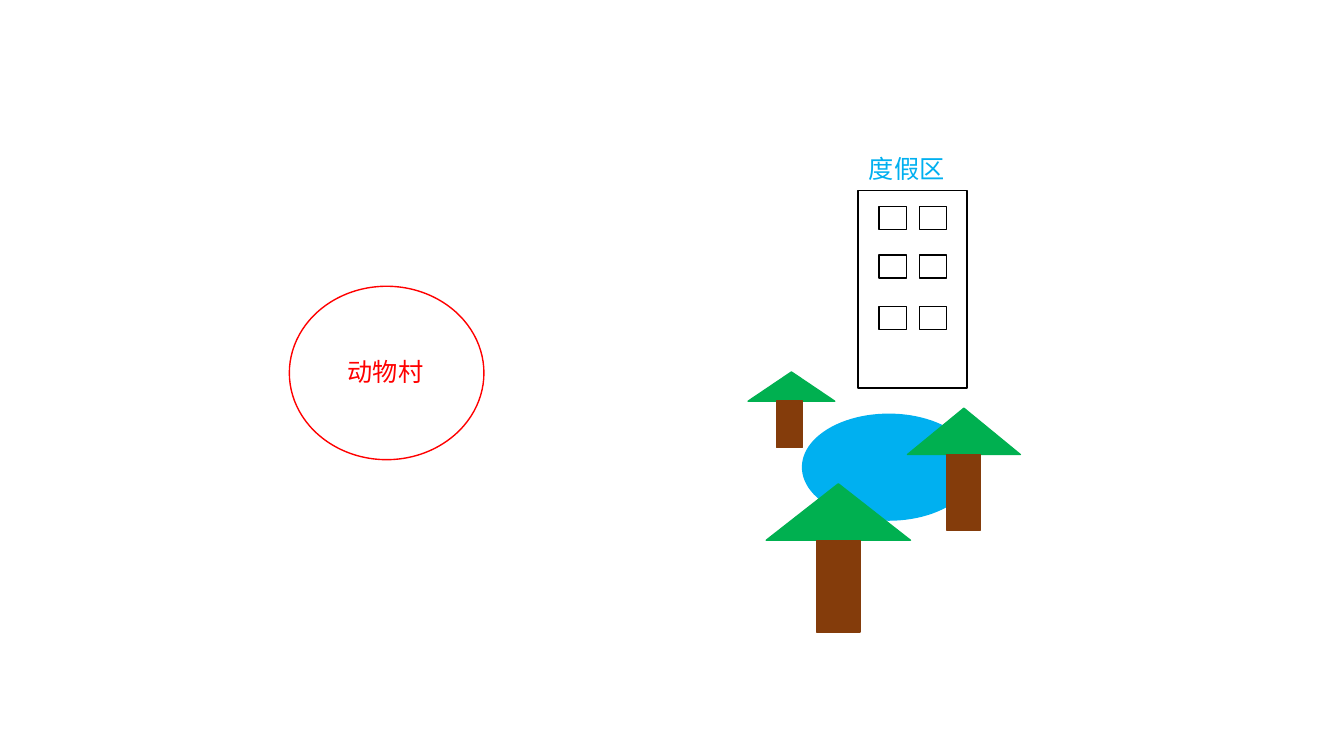
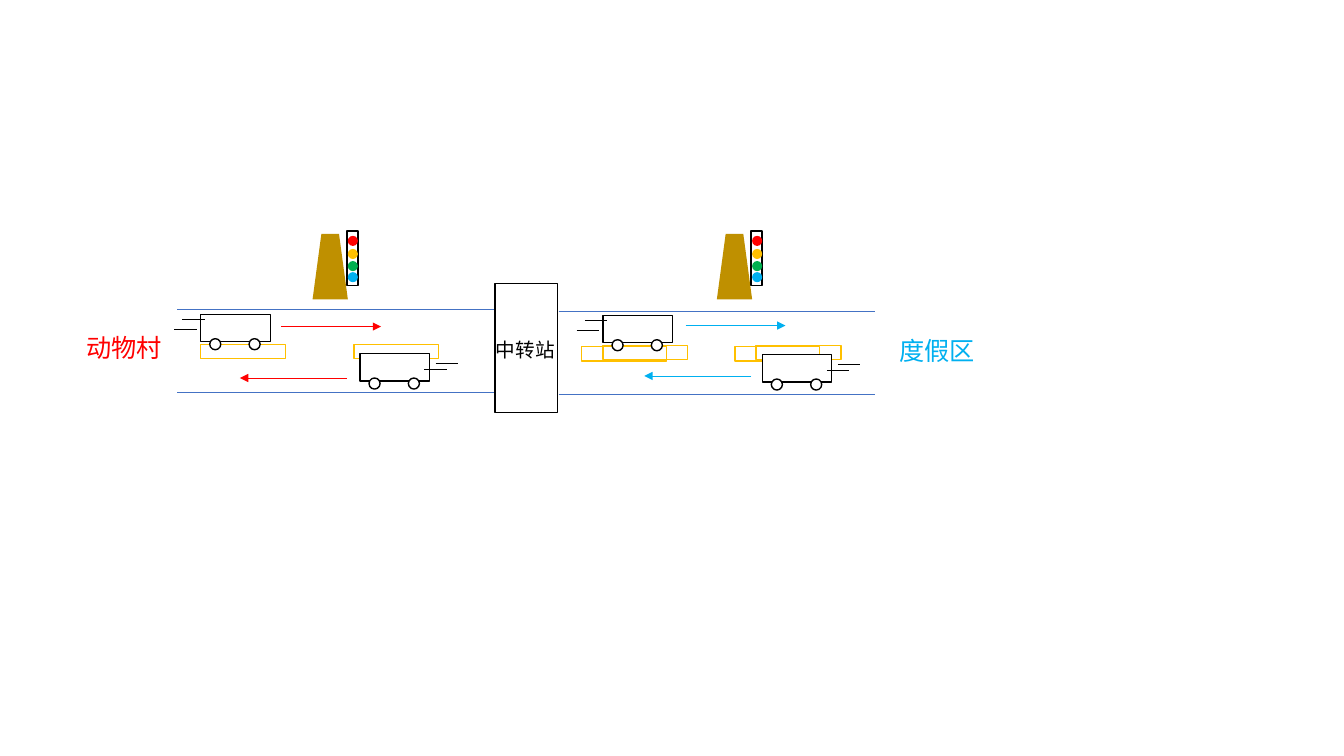
from lxml import etree
from pptx import Presentation
from pptx.dml.color import RGBColor
from pptx.enum import shapes, text
from pptx.oxml.ns import qn
from pptx.util import Inches, Pt

FONT = "Noto Sans CJK SC"
COLORS = {
    "black": "000000",
    "white": "FFFFFF",
    "red": "FF0000",
    "amber": "FFC000",
    "green": "00B050",
    "sky": "00B0F0",
    "trunk": "843C0B",
    "post": "BF9000",
    "road": "4472C4",
}
RECTANGLE = shapes.MSO_SHAPE.RECTANGLE
ELLIPSE = shapes.MSO_SHAPE.OVAL
TRIANGLE = shapes.MSO_SHAPE.ISOSCELES_TRIANGLE
TRAPEZOID = shapes.MSO_SHAPE.TRAPEZOID

VILLAGE = "动物村"
RESORT = "度假区"
STATION = "中转站"


def color(name):
    return RGBColor.from_string(COLORS[name])


def add_figure(slide, kind, left, top, width, height, fill=None, line=None):
    shape = slide.shapes.add_shape(
        kind, Inches(left), Inches(top), Inches(width), Inches(height)
    )
    shape.shadow.inherit = False
    if fill:
        shape.fill.solid()
        shape.fill.fore_color.rgb = color(fill)
    else:
        shape.fill.background()
    if line:
        shape.line.color.rgb = color(line)
        shape.line.width = Pt(1)
    else:
        shape.line.fill.background()


def add_line(slide, start, end, line, arrow=False):
    connector = slide.shapes.add_connector(
        shapes.MSO_CONNECTOR.STRAIGHT,
        *(Inches(value) for value in (*start, *end)),
    )
    connector.line.color.rgb = color(line)
    connector.line.width = Pt(0.5)
    if arrow:
        outline = connector.line._get_or_add_ln()
        etree.SubElement(outline, qn("a:tailEnd"), type="triangle")
    etree.SubElement(connector._element.spPr, qn("a:effectLst"))


def add_label(slide, wording, left, top, width, height, size, font_color):
    box = slide.shapes.add_textbox(
        Inches(left), Inches(top), Inches(width), Inches(height)
    )
    frame = box.text_frame
    frame.text = wording
    frame.word_wrap = False
    frame.auto_size = text.MSO_AUTO_SIZE.SHAPE_TO_FIT_TEXT
    font = frame.paragraphs[0].runs[0].font
    font.name = FONT
    font.size = Pt(size)
    font.color.rgb = color(font_color)
    etree.SubElement(font._element, qn("a:ea"), typeface=FONT)


def add_place_name(slide, wording, left, top, font_color):
    add_label(slide, wording, left, top, 0.96, 0.4, 18, font_color)


def add_building(slide, left, top):
    add_figure(slide, RECTANGLE, left, top, 1.08, 1.96, line="black")
    for window_top in (0.16, 0.64, 1.15):
        for window_left in (0.21, 0.61):
            add_figure(slide, RECTANGLE, left + window_left, top + window_top,
                       0.27, 0.23, line="black")


def add_tree(slide, left, top, width, crown_height, trunk_left, trunk_height):
    add_figure(slide, TRIANGLE, left, top, width, crown_height, "green", "green")
    add_figure(slide, RECTANGLE, trunk_left, top + crown_height,
               0.3 * width, trunk_height, "trunk", "trunk")


def add_road(slide, left, top):
    for edge in (top, top + 0.82):
        add_line(slide, (left, edge), (left + 3.14, edge), "road")
    add_platforms(slide, left + 0.23, top + 0.35)


def add_platforms(slide, left, top):
    for platform_left in (left, left + 1.52):
        add_figure(slide, RECTANGLE, platform_left, top, 0.84, 0.14, line="amber")


def add_signal(slide, left, top):
    add_figure(slide, TRAPEZOID, left, top + 0.03, 0.35, 0.65, "post")
    add_figure(slide, RECTANGLE, left + 0.34, top, 0.11, 0.54, line="black")
    lamps = {"red": 0.05, "amber": 0.18, "green": 0.3, "sky": 0.41}
    for lamp, offset in lamps.items():
        add_figure(slide, ELLIPSE, left + 0.35, top + offset, 0.1, 0.1, lamp)


def add_cart(slide, left, top, streaks):
    add_figure(slide, RECTANGLE, left, top, 0.69, 0.27, "white", "black")
    for wheel_left in (0.09, 0.48):
        add_figure(slide, ELLIPSE, left + wheel_left, top + 0.24,
                   0.11, 0.11, "white", "black")
    for streak_left, streak_top in streaks:
        x, y = left + streak_left, top + streak_top
        add_line(slide, (x, y), (x + 0.22, y), "black")


def add_carts(slide, left, top):
    add_cart(slide, left, top, [(-0.18, 0.05), (-0.26, 0.15)])
    add_cart(slide, left + 1.58, top + 0.39, [(0.64, 0.15), (0.75, 0.09)])


def add_directions(slide, left, top, return_drop, line):
    add_line(slide, (left, top), (left + 0.99, top), line, arrow=True)
    bottom = top + return_drop
    add_line(slide, (left + 0.65, bottom), (left - 0.41, bottom), line, arrow=True)


def build_places(slide):
    add_figure(slide, ELLIPSE, 7.96, 4.11, 1.71, 1.05, "sky", "sky")
    add_building(slide, 8.51, 1.89)
    add_tree(slide, 7.6, 4.8, 1.43, 0.56, 8.1, 0.91)
    add_tree(slide, 9, 4.05, 1.12, 0.46, 9.39, 0.75)
    add_tree(slide, 7.42, 3.69, 0.86, 0.29, 7.7, 0.46)
    add_figure(slide, ELLIPSE, 2.87, 2.84, 1.93, 1.72, line="red")
    add_place_name(slide, VILLAGE, 3.35, 3.49, "red")
    add_place_name(slide, RESORT, 8.52, 1.47, "sky")


def build_route(slide):
    add_road(slide, 1.76, 3.07)
    add_road(slide, 5.54, 3.09)
    add_platforms(slide, 5.98, 3.43)
    add_place_name(slide, VILLAGE, 0.76, 3.25, "red")
    add_place_name(slide, RESORT, 8.82, 3.28, "sky")
    add_figure(slide, RECTANGLE, 4.91, 2.81, 0.62, 1.28, line="black")
    add_label(slide, STATION, 4.82, 3.3, 0.79, 0.34, 14, "black")
    for left in (3.1, 7.11):
        add_signal(slide, left, 2.29)
    add_carts(slide, 1.99, 3.12)
    add_carts(slide, 5.98, 3.13)
    add_directions(slide, 2.79, 3.24, 0.51, "red")
    add_directions(slide, 6.8, 3.23, 0.5, "sky")


def main():
    presentation = Presentation()
    presentation.slide_width = Inches(13.33)
    presentation.slide_height = Inches(7.5)
    for build in (build_places, build_route):
        build(presentation.slides.add_slide(presentation.slide_layouts[6]))
    presentation.save("out.pptx")


if __name__ == "__main__":
    main()
